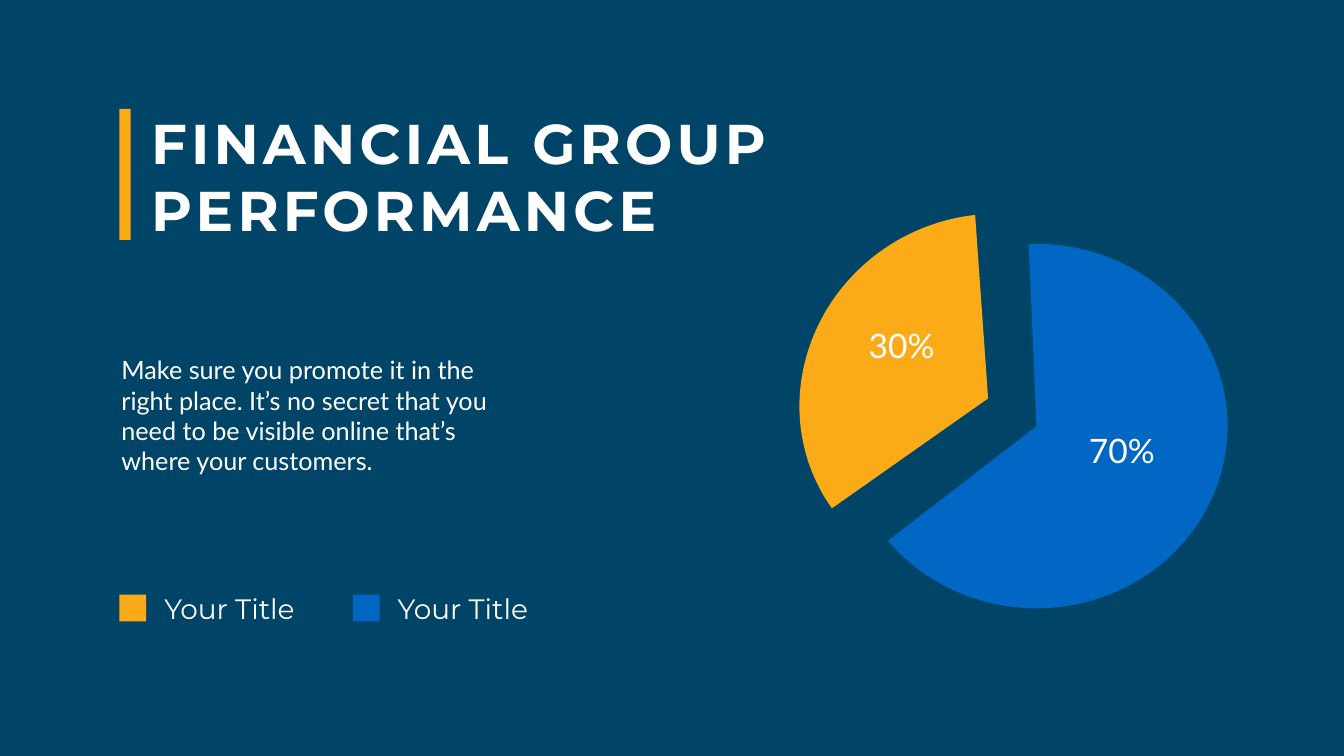
from dataclasses import dataclass

from pptx import Presentation
from pptx.dml.color import RGBColor
from pptx.enum.shapes import MSO_SHAPE
from pptx.enum.text import MSO_AUTO_SIZE, PP_ALIGN
from pptx.shapes.autoshape import Shape
from pptx.slide import Slide
from pptx.util import Inches, Pt

RECTANGLE = MSO_SHAPE.RECTANGLE
PIE = MSO_SHAPE.PIE
GROW = MSO_AUTO_SIZE.SHAPE_TO_FIT_TEXT
LEFT = PP_ALIGN.LEFT
CENTER = PP_ALIGN.CENTER

COLORS = {
    "navy": "004467",
    "orange": "FAAB17",
    "blue": "0068C4",
    "white": "FFFFFF",
}
HEADING_FONT = "Montserrat"
BODY_FONT = "Lato"
SLIDE_WIDTH, SLIDE_HEIGHT = 26.66, 15
MARGIN = 2.37
PIE_WIDTH, PIE_HEIGHT = 7.58, 7.23
ADJUSTMENT_PER_DEGREE = 0.6


@dataclass(frozen=True)
class Box:
    left: float
    top: float
    width: float
    height: float

    def lengths(self) -> tuple[Inches, Inches, Inches, Inches]:
        return Inches(self.left), Inches(self.top), Inches(self.width), Inches(self.height)


@dataclass(frozen=True)
class Label:
    text: str
    box: Box
    font: str
    size: int
    align: PP_ALIGN = LEFT
    bold: bool = False
    spacing: int = 0


@dataclass(frozen=True)
class Slice:
    left: float
    top: float
    start: float
    end: float
    rotation: float
    color: str
    share: str
    share_left: float
    share_top: float


@dataclass(frozen=True)
class LegendEntry:
    title: str
    color: str


TITLE = Label("FINANCIAL GROUP PERFORMANCE", Box(2.9, 2.1, 13.33, 2.79),
              HEADING_FONT, 80, bold=True, spacing=6)
MESSAGE = Label(
    "Make sure you promote it in the right place. It’s no secret that you "
    "need to be visible online that’s where your customers.",
    Box(2.31, 6.99, 8.13, 2.52), BODY_FONT, 36)
LEGEND = [LegendEntry("Your Title", "orange"), LegendEntry("Your Title", "blue")]
SLICES = [
    Slice(16.77, 4.84, 267.55, 142.31, 0, "blue", "70%", 20.78, 8.49),
    Slice(15.81, 4.29, 356.37, 117.45, 148.5, "orange", "30%", 16.41, 6.39),
]


def add_filled(slide: Slide, kind: MSO_SHAPE, box: Box, color: str) -> Shape:
    shape = slide.shapes.add_shape(kind, *box.lengths())
    shape.shadow.inherit = False
    shape.fill.solid()
    shape.fill.fore_color.rgb = RGBColor.from_string(COLORS[color])
    shape.line.fill.background()
    return shape


def add_label(slide: Slide, label: Label) -> None:
    frame = slide.shapes.add_textbox(*label.box.lengths()).text_frame
    frame.word_wrap = True
    frame.auto_size = GROW
    paragraph = frame.paragraphs[0]
    paragraph.alignment = label.align
    run = paragraph.add_run()
    run.text = label.text
    run.font.name = label.font
    run.font.size = Pt(label.size)
    run.font.bold = label.bold
    run.font.color.rgb = RGBColor.from_string(COLORS["white"])
    if label.spacing:
        run.font._element.set("spc", str(label.spacing * 100))


def add_legend_entry(slide: Slide, entry: LegendEntry, left: float) -> None:
    add_filled(slide, RECTANGLE, Box(left, 11.8, 0.53, 0.53), entry.color)
    add_label(slide, Label(entry.title, Box(left + 0.79, 11.68, 3.32, 0.77), HEADING_FONT, 40))


def add_slice(slide: Slide, part: Slice) -> None:
    wedge = add_filled(slide, PIE, Box(part.left, part.top, PIE_WIDTH, PIE_HEIGHT), part.color)
    wedge.adjustments[0] = part.start * ADJUSTMENT_PER_DEGREE
    wedge.adjustments[1] = part.end * ADJUSTMENT_PER_DEGREE
    wedge.rotation = part.rotation


def add_share(slide: Slide, part: Slice) -> None:
    box = Box(part.share_left, part.share_top, 2.95, 0.91)
    add_label(slide, Label(part.share, box, BODY_FONT, 48, CENTER))


def main() -> None:
    presentation = Presentation()
    presentation.slide_width = Inches(SLIDE_WIDTH)
    presentation.slide_height = Inches(SLIDE_HEIGHT)
    slide = presentation.slides.add_slide(presentation.slide_layouts[6])

    add_filled(slide, RECTANGLE, Box(0, 0, SLIDE_WIDTH, SLIDE_HEIGHT), "navy")
    add_label(slide, TITLE)
    add_filled(slide, RECTANGLE, Box(MARGIN, 2.16, 0.22, 2.6), "orange")
    add_label(slide, MESSAGE)
    for index, entry in enumerate(LEGEND):
        add_legend_entry(slide, entry, MARGIN + index * 4.63)
    for part in SLICES:
        add_slice(slide, part)
    for part in reversed(SLICES):
        add_share(slide, part)

    presentation.save("out.pptx")


if __name__ == "__main__":
    main()
